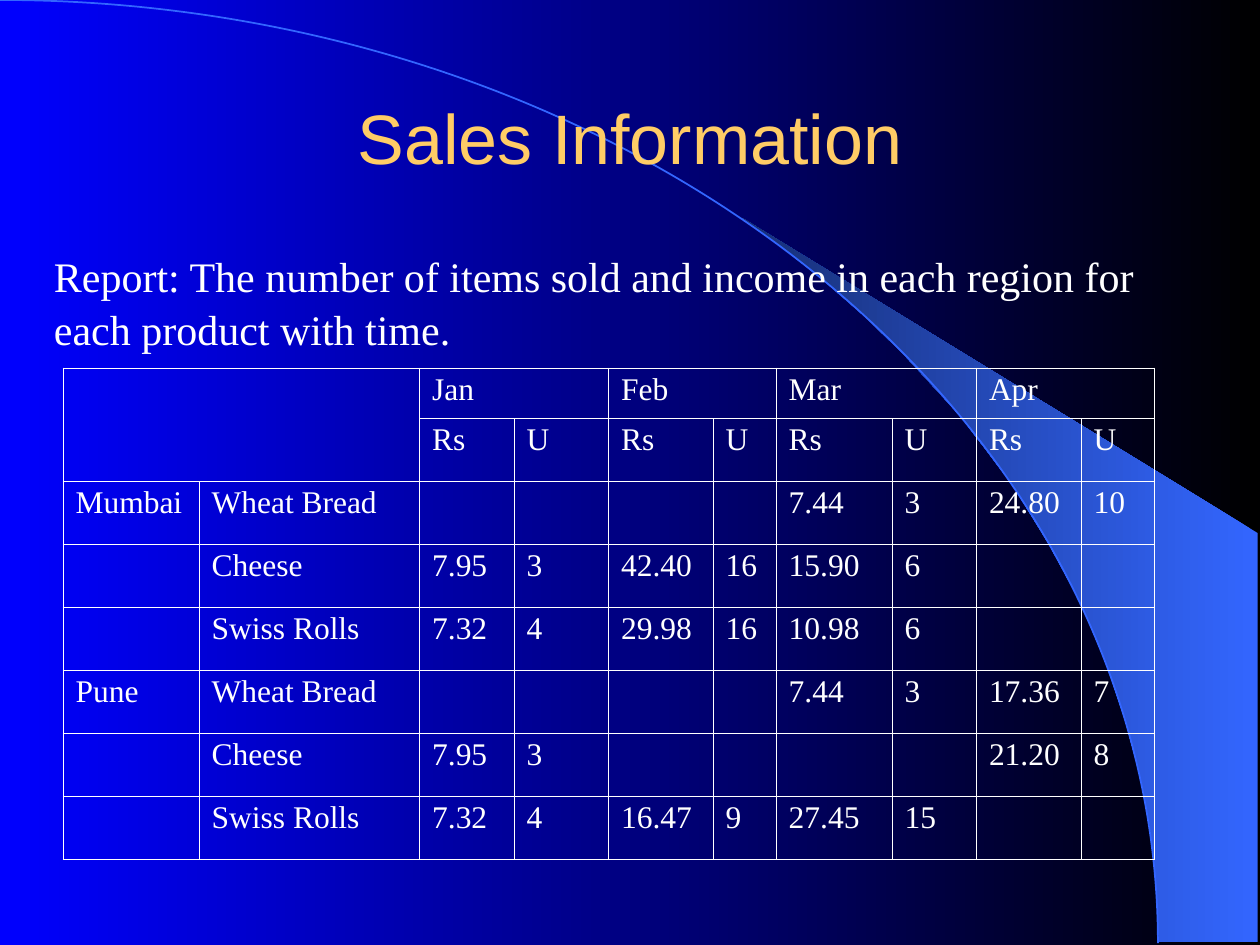
from lxml import etree
from pptx import Presentation
from pptx.dml.color import RGBColor
from pptx.enum.shapes import MSO_SHAPE as Preset
from pptx.enum.text import MSO_ANCHOR as Anchor, MSO_AUTO_SIZE as AutoSize, PP_ALIGN as Align
from pptx.oxml.ns import qn
from pptx.util import Inches, Pt

COLORS = {"black": "000000", "blue": "0000FF", "glow": "3366FF",
          "dusk": "172F75", "gold": "FFCC66", "white": "FFFFFF"}

BAND = [(9.2, 7.48), (9.98, 7.48), (9.98, 4.23), (5.89, 1.73), (6.24, 1.99),
        (6.53, 2.22), (6.85, 2.5), (7.16, 2.8), (7.62, 3.3), (8.03, 3.84),
        (8.32, 4.31), (8.58, 4.79), (8.78, 5.27), (8.93, 5.72),
        (9.03, 6.09), (9.13, 6.56), (9.17, 6.96)]

COLUMNS = [1.08, 1.75, 0.75, 0.75, 0.83, 0.5, 0.92, 0.67, 0.83, 0.58]
ROW_HEIGHTS = [0.4] + [0.5] * 7
SALES = [
    ["", "", "Jan", "", "Feb", "", "Mar", "", "Apr", ""],
    ["", ""] + ["Rs", "U"] * 4,
    ["Mumbai", "Wheat Bread", "", "", "", "", "7.44", "3", "24.80", "10"],
    ["", "Cheese", "7.95", "3", "42.40", "16", "15.90", "6", "", ""],
    ["", "Swiss Rolls", "7.32", "4", "29.98", "16", "10.98", "6", "", ""],
    ["Pune", "Wheat Bread", "", "", "", "", "7.44", "3", "17.36", "7"],
    ["", "Cheese", "7.95", "3", "", "", "", "", "21.20", "8"],
    ["", "Swiss Rolls", "7.32", "4", "16.47", "9", "27.45", "15", "", ""],
]
# Merged areas: first row, first column, last row, last column
MERGES = [(0, 0, 1, 1)] + [(0, col, 0, col + 1) for col in range(2, 10, 2)]


def rgb(name):
    return RGBColor.from_string(COLORS[name])


class SlideBuilder:
    heading_font = "Arial"
    body_font = "Times New Roman"

    def __init__(self, page):
        self.page = page

    def gradient(self, fill, start, end):
        fill.gradient()
        fill.gradient_angle = 180
        for stop, position, color in zip(fill.gradient_stops, (0, 1), (start, end)):
            stop.position = position
            stop.color.rgb = rgb(color)

    def style(self, para, font, size, color):
        para.font.name = font
        para.font.size = Pt(size)
        para.font.color.rgb = rgb(color)

    def outline(self, points, start, end):
        corners = [(Inches(x), Inches(y)) for x, y in points]
        builder = self.page.shapes.build_freeform(*corners[0])
        builder.add_line_segments(corners[1:], close=True)
        shape = builder.convert_to_shape()
        shape.shadow.inherit = False
        shape.line.fill.background()
        self.gradient(shape.fill, start, end)

    def arc(self, left, top, width, height, color):
        shape = self.page.shapes.add_shape(
            Preset.ARC, Inches(left), Inches(top), Inches(width), Inches(height))
        shape.shadow.inherit = False
        shape.fill.background()
        shape.line.color.rgb = rgb(color)
        shape.line.width = Pt(1)

    def title(self, text, left, top, width, height):
        box = self.page.shapes.title
        box.left, box.top = Inches(left), Inches(top)
        box.width, box.height = Inches(width), Inches(height)
        # Bring the title in front of the backdrop
        box.element.getparent().append(box.element)
        frame = box.text_frame
        frame.text = text
        frame.vertical_anchor = Anchor.MIDDLE
        para = frame.paragraphs[0]
        para.alignment = Align.CENTER
        self.style(para, self.heading_font, 40, "gold")

    def text(self, lines, left, top, width, height):
        box = self.page.shapes.add_textbox(
            Inches(left), Inches(top), Inches(width), Inches(height))
        frame = box.text_frame
        frame.word_wrap = True
        frame.auto_size = AutoSize.SHAPE_TO_FIT_TEXT
        frame.text = "\n".join(lines)
        for para in frame.paragraphs:
            para.line_spacing = 1.05
            self.style(para, self.body_font, 24, "white")

    def border(self, cell, side, width):
        props = cell._tc.get_or_add_tcPr()
        line = etree.SubElement(props, qn(f"a:ln{side}"), w=str(Pt(width)))
        fill = etree.SubElement(line, qn("a:solidFill"))
        etree.SubElement(fill, qn("a:srgbClr"), val=COLORS["white"])

    def table(self, rows, columns, heights, merges, left, top):
        frame = self.page.shapes.add_table(
            len(rows), len(columns), Inches(left), Inches(top),
            Inches(sum(columns)), Inches(sum(heights)))
        table = frame.table
        table.first_row = table.horz_banding = False
        for column, width in zip(table.columns, columns):
            column.width = Inches(width)
        for row, height in zip(table.rows, heights):
            row.height = Inches(height)
        for r, values in enumerate(rows):
            for c, value in enumerate(values):
                cell = table.cell(r, c)
                cell.text = value
                para = cell.text_frame.paragraphs[0]
                para.line_spacing = 0.93
                para.space_before = Pt(4.5)
                self.style(para, self.body_font, 18, "white")
                # The outer frame is heavier than the inner grid
                edges = {"L": c == 0, "R": c == len(columns) - 1,
                         "T": r == 0, "B": r == len(rows) - 1}
                for side, is_outer in edges.items():
                    self.border(cell, side, 0.5 if is_outer else 0.23)
                cell.fill.background()
        for top_row, first, bottom_row, last in merges:
            table.cell(top_row, first).merge(table.cell(bottom_row, last))


def main():
    deck = Presentation()
    deck.slide_width, deck.slide_height = Inches(10), Inches(7.5)
    page = deck.slides.add_slide(deck.slide_layouts[5])
    slide = SlideBuilder(page)

    # Backdrop
    slide.gradient(page.background.fill, "black", "blue")
    slide.outline(BAND, "glow", "dusk")
    slide.arc(-9.2, 0, 18.39, 14.97, "glow")

    # Heading and report description
    slide.title("Sales Information", 0.75, 0.67, 8.5, 0.83)
    slide.text(["Report: The number of items sold and income in each region for",
                "each product with time."], 0.33, 1.92, 8.86, 0.9)

    # Sales by city, product and month
    slide.table(SALES, COLUMNS, ROW_HEIGHTS, MERGES, 0.5, 2.92)

    deck.save("out.pptx")


if __name__ == "__main__":
    main()
